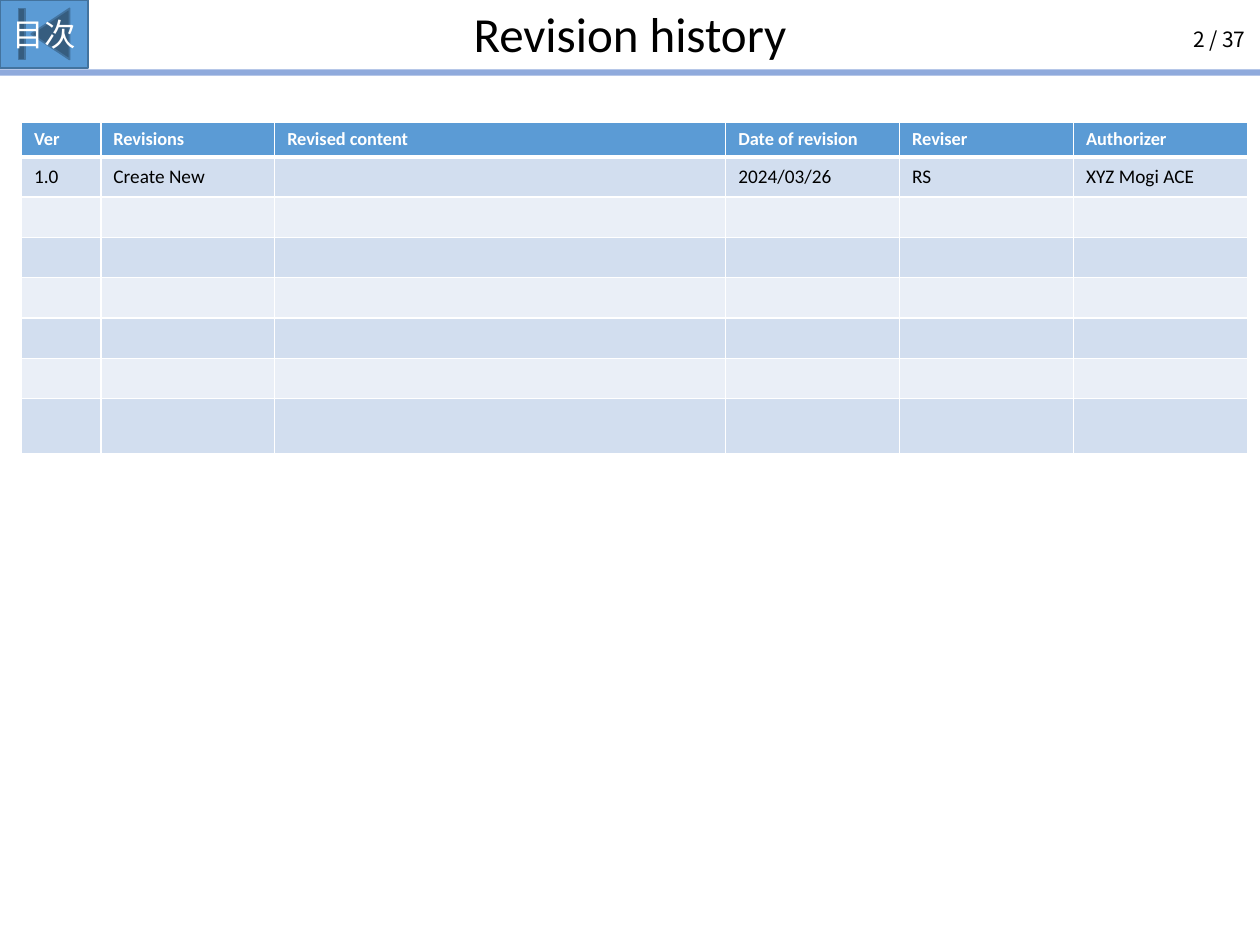
from dataclasses import dataclass

from lxml import etree
from pptx import Presentation
from pptx.dml.color import RGBColor
from pptx.enum.shapes import MSO_SHAPE
from pptx.enum.text import MSO_ANCHOR, MSO_AUTO_SIZE, PP_ALIGN
from pptx.oxml.ns import qn
from pptx.util import Inches, Pt

LEFT, CENTER, RIGHT = PP_ALIGN.LEFT, PP_ALIGN.CENTER, PP_ALIGN.RIGHT
TOP, MIDDLE, BOTTOM = MSO_ANCHOR.TOP, MSO_ANCHOR.MIDDLE, MSO_ANCHOR.BOTTOM
RECTANGLE = MSO_SHAPE.RECTANGLE
BEGINNING_BUTTON = MSO_SHAPE.ACTION_BUTTON_BEGINNING
NO_AUTOFIT = MSO_AUTO_SIZE.NONE
TITLE_ONLY = 5


@dataclass(frozen=True)
class Theme:
    body_font: str = "Calibri"
    frame_font: str = "Noto Sans CJK JP"
    black: str = "000000"
    white: str = "FFFFFF"
    accent: str = "5B9BD5"
    accent_edge: str = "43739E"
    rule: str = "8FAADC"
    bands: tuple = ("D2DEEF", "EAEFF7")
    title_size: float = 28
    button_size: float = 18
    page_size: float = 12
    header_size: float = 10.5
    cell_size: float = 11


THEME = Theme()

COLUMN_WIDTHS = (0.63, 1.38, 3.58, 1.38, 1.38, 1.38)
ROW_HEIGHTS = (0.27,) + (0.32,) * 6 + (0.44,)
HEADINGS = ("Ver", "Revisions", "Revised content", "Date of revision",
            "Reviser", "Authorizer")
REVISIONS = (("1.0", "Create New", "", "2024/03/26", "RS", "XYZ Mogi ACE"),)


def color(value):
    return RGBColor.from_string(value)


def write(frame, text, size, ink=THEME.black, font=THEME.body_font,
          bold=False, align=LEFT, anchor=TOP, spacing=None):
    frame.vertical_anchor = anchor
    paragraph = frame.paragraphs[0]
    paragraph.alignment = align
    paragraph.line_spacing = spacing
    run = paragraph.add_run()
    run.text = text
    run.font.size = Pt(size)
    run.font.name = font
    run.font.bold = bold
    run.font.color.rgb = color(ink)
    etree.SubElement(run.font._element, qn("a:ea"), typeface=font)


def add_block(slide, kind, box, fill, edge=None):
    block = slide.shapes.add_shape(kind, *map(Inches, box))
    block.shadow.inherit = False
    block.fill.solid()
    block.fill.fore_color.rgb = color(fill)
    if edge:
        block.line.color.rgb = color(edge)
        block.line.width = Pt(1)
    else:
        block.line.fill.background()
    return block


def add_page_label(slide, box, text, align):
    label = slide.shapes.add_textbox(*map(Inches, box))
    label.text_frame.word_wrap = True
    write(label.text_frame, text, THEME.page_size, font=THEME.frame_font,
          align=align, anchor=MIDDLE)


def add_title(slide, text):
    title = slide.shapes.title
    title.left, title.top = Inches(0), Inches(0)
    title.width, title.height = Inches(10), Inches(0.55)
    title.text_frame.auto_size = NO_AUTOFIT
    write(title.text_frame, text, THEME.title_size, align=CENTER,
          anchor=BOTTOM, spacing=0.9)


def add_header_bar(slide):
    add_page_label(slide, (9.14, 0.16, 0.52, 0.3), "2", RIGHT)
    add_page_label(slide, (9.5, 0.16, 0.66, 0.3), "/ 37", LEFT)
    add_block(slide, RECTANGLE, (0, 0.55, 10, 0.05), THEME.rule)
    contents = add_block(slide, BEGINNING_BUTTON, (0, 0, 0.7, 0.54),
                         THEME.accent, THEME.accent_edge)
    contents.text_frame.word_wrap = False
    write(contents.text_frame, "目次", THEME.button_size, ink=THEME.white,
          font=THEME.frame_font, align=CENTER, anchor=MIDDLE)


def set_borders(cell, top, bottom):
    """Draw white cell borders; this must come before the cell's fill."""
    properties = cell._tc.get_or_add_tcPr()
    for side, width in (("L", 1), ("R", 1), ("T", top), ("B", bottom)):
        line = etree.SubElement(properties, qn(f"a:ln{side}"), w=str(Pt(width)))
        fill = etree.SubElement(line, qn("a:solidFill"))
        etree.SubElement(fill, qn("a:srgbClr"), val=THEME.white)


def fill_cell(cell, text, row):
    is_header = row == 0
    set_borders(cell, top=3 if row == 1 else 1, bottom=3 if is_header else 1)
    cell.fill.solid()
    cell.fill.fore_color.rgb = color(
        THEME.accent if is_header else THEME.bands[(row - 1) % 2])
    if is_header:
        write(cell.text_frame, text, THEME.header_size, ink=THEME.white, bold=True)
    elif text:
        cell.vertical_anchor = MIDDLE
        write(cell.text_frame, text, THEME.cell_size, anchor=MIDDLE)
        cell.vertical_anchor = MIDDLE
    else:
        # The end mark's size keeps an empty row from growing.
        etree.SubElement(cell.text_frame.paragraphs[0]._p, qn("a:endParaRPr"),
                         sz=str(int(THEME.cell_size * 100)))


def add_revision_table(slide):
    table = slide.shapes.add_table(
        len(ROW_HEIGHTS), len(COLUMN_WIDTHS), Inches(0.17), Inches(0.97),
        Inches(sum(COLUMN_WIDTHS)), Inches(sum(ROW_HEIGHTS))).table
    for column, width in zip(table.columns, COLUMN_WIDTHS):
        column.width = Inches(width)
    for row, height in zip(table.rows, ROW_HEIGHTS):
        row.height = Inches(height)
    blank = ("",) * len(HEADINGS)
    entries = (HEADINGS,) + REVISIONS
    entries += (blank,) * (len(ROW_HEIGHTS) - len(entries))
    for row, entry in enumerate(entries):
        for column, text in enumerate(entry):
            fill_cell(table.cell(row, column), text, row)


def main():
    deck = Presentation()
    deck.slide_width, deck.slide_height = Inches(10), Inches(7.5)
    slide = deck.slides.add_slide(deck.slide_layouts[TITLE_ONLY])
    add_header_bar(slide)
    add_title(slide, "Revision history")
    add_revision_table(slide)
    deck.save("out.pptx")


if __name__ == "__main__":
    main()
